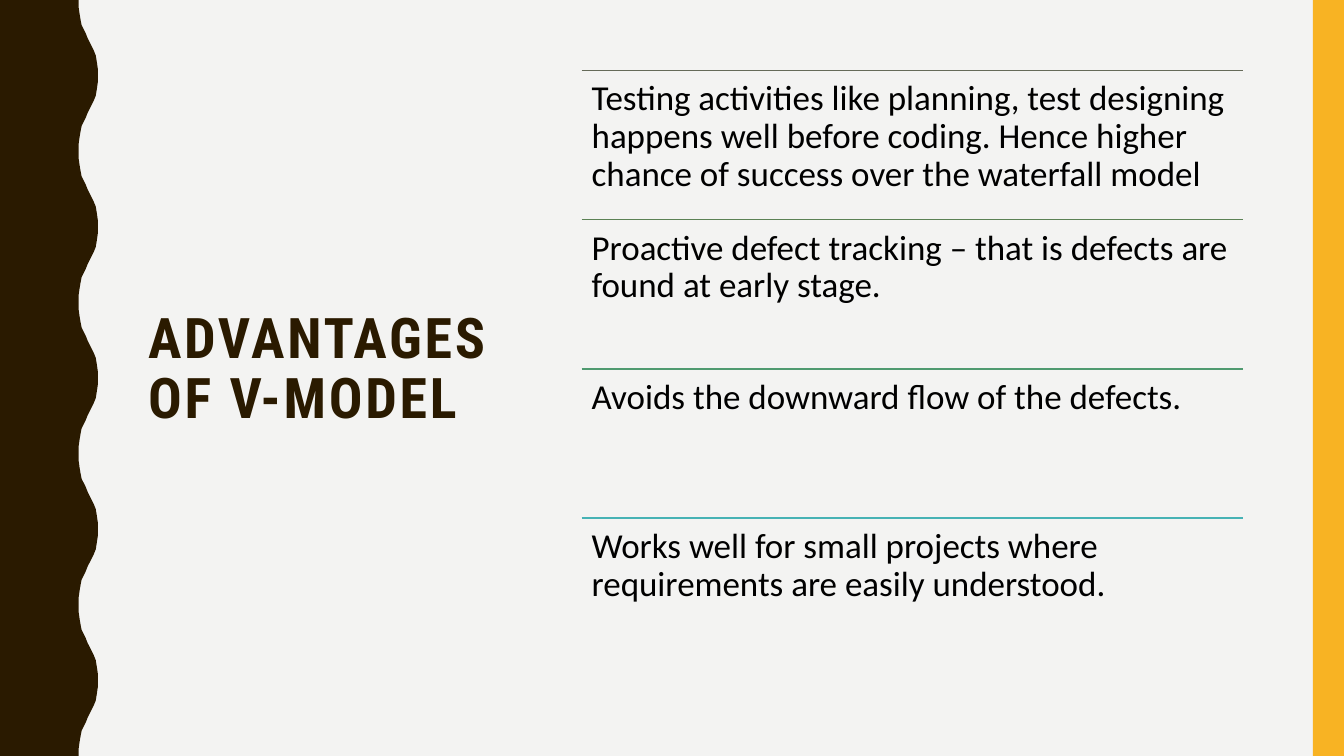
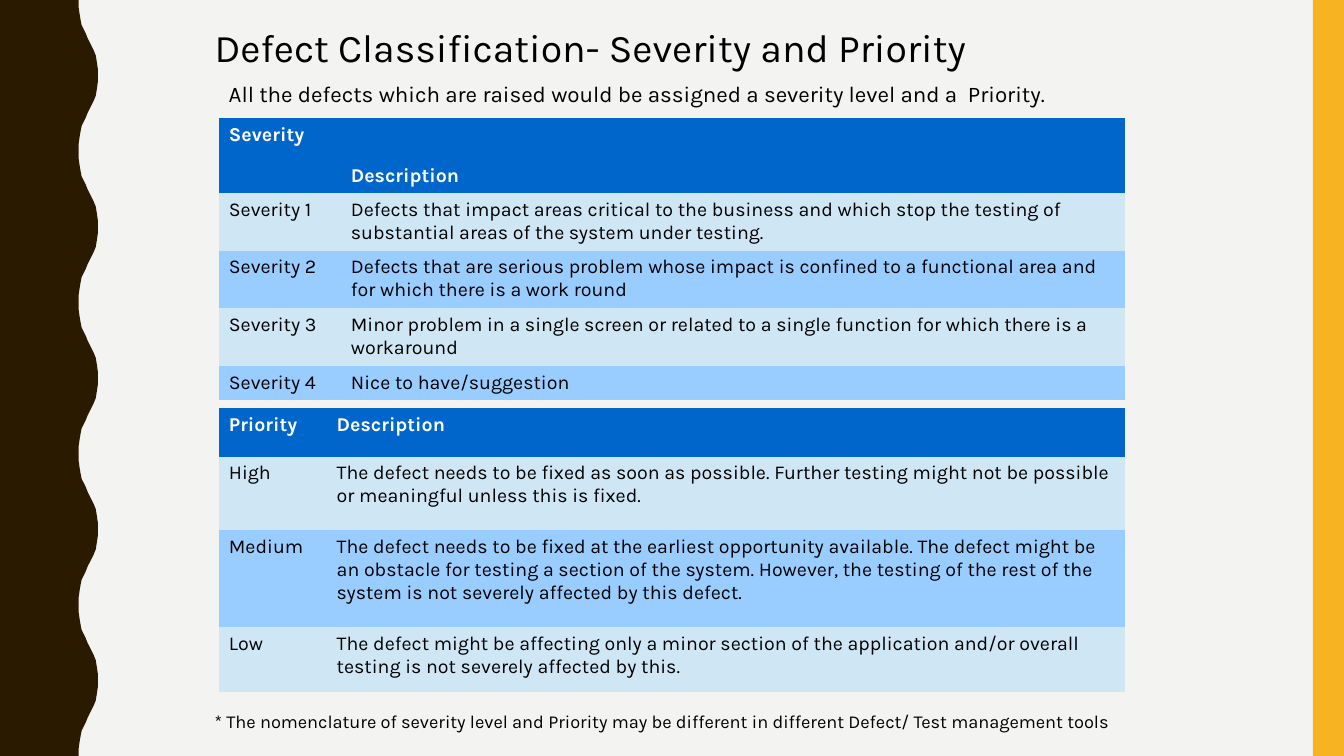
from dataclasses import dataclass
from typing import Any

from lxml.etree import SubElement
from pptx import Presentation
from pptx.dml.color import RGBColor
from pptx.enum.shapes import MSO_CONNECTOR, MSO_SHAPE
from pptx.enum.text import MSO_ANCHOR
from pptx.oxml.ns import qn
from pptx.shapes.autoshape import Shape
from pptx.slide import Slide
from pptx.text.text import TextFrame
from pptx.util import Emu, Pt

PX = 9144  # 100 px to the inch
WIDTH, HEIGHT = 1333, 750
NO_TABLE_STYLE = "{2D5ABB26-0587-4C30-8999-92F81FD0307C}"

COLORS = {
    "background": "F3F3F2",
    "wave": "2A1A00",
    "stripe": "F8B323",
    "text": "000000",
    "header": "0066CC",
    "header_text": "FFFFFF",
    "light_row": "CFE7F5",
    "dark_row": "99CCFF",
    "olive": "656A59",
    "green": "5B8155",
    "emerald": "4F9A70",
    "teal": "46B2B5",
}

# One falling-to-crest half of the wave: (x, y)
HALF_WAVE = [
    (78, 0), (78, 7), (79, 14), (80, 20), (81, 25), (83, 29), (85, 33), (87, 38),
    (89, 42), (91, 46), (93, 50), (95, 55), (96, 61), (97, 68), (97, 75),
]
WAVE_PERIOD = 150


@dataclass(frozen=True)
class Box:
    left: int
    top: int
    width: int
    height: int

    def emu(self) -> tuple[Emu, Emu, Emu, Emu]:
        return px(self.left), px(self.top), px(self.width), px(self.height)


@dataclass(frozen=True)
class TextStyle:
    font: dict[str, Any]
    color: str = "text"
    line_spacing: float = 1.0
    tracking: int = 0  # hundredths of a point


@dataclass(frozen=True)
class Advantage:
    color: str
    text: str


@dataclass(frozen=True)
class DefectTable:
    box: Box
    columns: list[int]
    row_heights: list[int]
    rows: list[tuple[str, str]]
    description_header_top: int = 5


TITLE = TextStyle({"name": "Roboto Condensed", "size": Pt(40), "bold": True}, "wave", 0.9, 200)
ADVANTAGE = TextStyle({"name": "Calibri", "size": Pt(25)}, line_spacing=0.9)
HEADING = TextStyle({"name": "Karla", "size": Pt(28)})
INTRODUCTION = TextStyle({"name": "Karla", "size": Pt(16)})
FOOTNOTE = TextStyle({"name": "Karla", "size": Pt(13)})
HEADER_CELL = TextStyle({"name": "Karla", "size": Pt(14), "bold": True}, "header_text", 1.01)
BODY_CELL = TextStyle({"name": "Karla", "size": Pt(14), "bold": False}, line_spacing=1.01)

ADVANTAGES = [
    Advantage("olive", "Testing activities like planning, test designing happens well before coding. "
              "Hence higher chance of success over the waterfall model"),
    Advantage("green", "Proactive defect tracking – that is defects are found at early stage."),
    Advantage("emerald", "Avoids the downward flow of the defects."),
    Advantage("teal", "Works well for small projects where requirements are easily understood."),
]
ADVANTAGE_BOX = Box(577, 70, 656, 148)

SEVERITY = DefectTable(
    Box(217, 117, 899, 274), [121, 778], [73, 56, 56, 56, 33],
    [
        ("Severity", "Description"),
        ("Severity 1", "Defects that impact areas critical to the business and which stop the "
         "testing of substantial areas of the system under testing."),
        ("Severity 2", "Defects that are serious problem whose impact is confined to a "
         "functional area and for which there is a work round"),
        ("Severity 3", "Minor problem in a single screen or related to a single function for "
         "which there is a workaround"),
        ("Severity 4", "Nice to have/suggestion"),
    ],
    description_header_top=46,
)
PRIORITY = DefectTable(
    Box(217, 405, 899, 282), [107, 792], [48, 73, 96, 65],
    [
        ("Priority", "Description"),
        ("High", "The defect needs to be fixed as soon as possible. Further testing might not "
         "be possible or meaningful unless this is fixed."),
        ("Medium", "The defect needs to be fixed at the earliest opportunity available. The "
         "defect might be an obstacle for testing a section of the system. However, the testing "
         "of the rest of the system is not severely affected by this defect."),
        ("Low", "The defect might be affecting only a minor section of the application and/or "
         "overall testing is not severely affected by this."),
    ],
)


def px(length: int) -> Emu:
    return Emu(length * PX)


def rgb(name: str) -> RGBColor:
    return RGBColor.from_string(COLORS[name])


def paint(shape: Shape, color: str) -> None:
    """Give a shape a plain fill without line or shadow."""
    shape.shadow.inherit = False
    shape.fill.solid()
    shape.fill.fore_color.rgb = rgb(color)
    shape.line.fill.background()


def write(frame: TextFrame, text: str, style: TextStyle) -> None:
    paragraph = frame.paragraphs[0]
    paragraph.line_spacing = style.line_spacing
    run = paragraph.add_run()
    run.text = text
    for name, value in style.font.items():
        setattr(run.font, name, value)
    run.font.color.rgb = rgb(style.color)
    if style.tracking:
        run._r.get_or_add_rPr().set("spc", str(style.tracking))


def add_text(slide: Slide, box: Box, text: str, style: TextStyle,
             anchor: MSO_ANCHOR = MSO_ANCHOR.TOP, margin: int = 5) -> None:
    """Add a wrapped text box; margin is the space above and below the text."""
    frame = slide.shapes.add_textbox(*box.emu()).text_frame
    settings = {
        "word_wrap": True, "vertical_anchor": anchor,
        "margin_left": px(10), "margin_right": px(10),
        "margin_top": px(margin), "margin_bottom": px(margin),
    }
    for name, value in settings.items():
        setattr(frame, name, value)
    write(frame, text, style)


def add_wave(slide: Slide) -> None:
    crest_to_end = [(x, WAVE_PERIOD - y) for x, y in reversed(HALF_WAVE[:-1])]
    period = HALF_WAVE + crest_to_end
    edge = [(x, y + start) for start in range(0, HEIGHT, WAVE_PERIOD) for x, y in period]
    builder = slide.shapes.build_freeform(0, 0, scale=PX)
    builder.add_line_segments(edge + [(0, HEIGHT)], close=True)
    paint(builder.convert_to_shape(), "wave")


def add_themed_slide(presentation: Presentation) -> Slide:
    """Add a blank slide with the background, the wave and the right stripe."""
    slide = presentation.slides.add_slide(presentation.slide_layouts[6])
    slide.background.fill.solid()
    slide.background.fill.fore_color.rgb = rgb("background")
    add_wave(slide)
    stripe = Box(1302, 0, WIDTH - 1302, HEIGHT)
    paint(slide.shapes.add_shape(MSO_SHAPE.RECTANGLE, *stripe.emu()), "stripe")
    return slide


def add_rule(slide: Slide, left: int, top: int, width: int, color: str) -> None:
    rule = slide.shapes.add_connector(
        MSO_CONNECTOR.STRAIGHT, px(left), px(top), px(left + width), px(top))
    rule.line.color.rgb = rgb(color)
    rule.line.width = Pt(1)
    SubElement(rule._element.spPr, qn("a:effectLst"))


def add_defect_table(slide: Slide, content: DefectTable) -> None:
    table = slide.shapes.add_table(
        len(content.rows), len(content.columns), *content.box.emu()).table
    table.horz_banding = False
    table._tbl.tblPr.find(qn("a:tableStyleId")).text = NO_TABLE_STYLE
    for column, width in zip(table.columns, content.columns):
        column.width = px(width)
    for row_index, (row, height) in enumerate(zip(table.rows, content.row_heights)):
        row.height = px(height)
        is_header = row_index == 0
        band = "light_row" if row_index % 2 else "dark_row"
        for cell, text in zip(row.cells, content.rows[row_index]):
            cell.fill.solid()
            cell.fill.fore_color.rgb = rgb("header" if is_header else band)
            write(cell.text_frame, text, HEADER_CELL if is_header else BODY_CELL)
    table.cell(0, 1).margin_top = px(content.description_header_top)


def add_advantages_slide(presentation: Presentation) -> None:
    slide = add_themed_slide(presentation)
    add_text(slide, Box(137, 71, 370, 593), "ADVANTAGES OF V-MODEL", TITLE, MSO_ANCHOR.MIDDLE)
    first = ADVANTAGE_BOX
    for index, advantage in enumerate(ADVANTAGES):
        box = Box(first.left, first.top + index * first.height, first.width, first.height)
        add_rule(slide, box.left, box.top, box.width, advantage.color)
        add_text(slide, box, advantage.text, ADVANTAGE, margin=10)


def add_defects_slide(presentation: Presentation) -> None:
    slide = add_themed_slide(presentation)
    add_text(slide, Box(203, 18, 781, 57), "Defect Classification- Severity and Priority", HEADING)
    add_text(slide, Box(217, 75, 925, 36),
             "All the defects which are raised would be assigned a severity level and a  Priority.",
             INTRODUCTION)
    add_defect_table(slide, SEVERITY)
    add_text(slide, Box(203, 700, 938, 32),
             "* The nomenclature of severity level and Priority may be different in different "
             "Defect/ Test management tools", FOOTNOTE)
    add_defect_table(slide, PRIORITY)


def main() -> None:
    presentation = Presentation()
    presentation.slide_width = px(WIDTH)
    presentation.slide_height = px(HEIGHT)
    add_advantages_slide(presentation)
    add_defects_slide(presentation)
    presentation.save("out.pptx")


if __name__ == "__main__":
    main()
